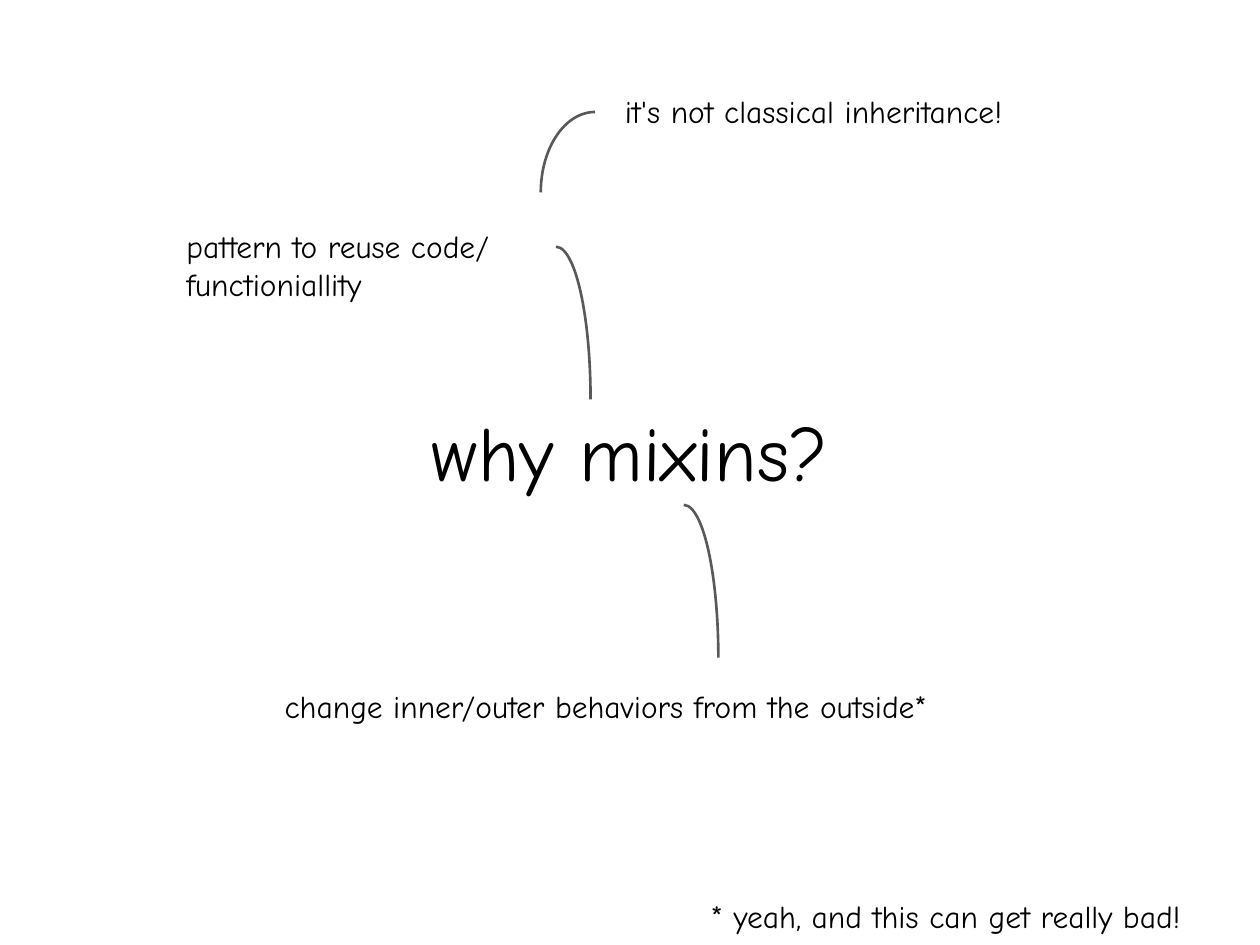
from dataclasses import dataclass

from pptx import Presentation
from pptx.dml.color import RGBColor
from pptx.enum.shapes import MSO_SHAPE as Preset
from pptx.enum.text import MSO_ANCHOR as Anchor, MSO_AUTO_SIZE as AutoSize, PP_ALIGN as Align
from pptx.slide import Slide
from pptx.text.text import TextFrame
from pptx.util import Pt

FONT = "Comic Neue"
INK = "000000"
ARC_GREY = "595959"
TITLE_ONLY = 5


@dataclass
class Frame:
    left: float
    top: float
    width: float
    height: float

    def lengths(self) -> tuple[Pt, Pt, Pt, Pt]:
        return Pt(self.left), Pt(self.top), Pt(self.width), Pt(self.height)


@dataclass
class Note:
    text: str
    frame: Frame


@dataclass
class Arc:
    frame: Frame
    flipped: bool = False


TITLE_FRAME = Frame(54, 199.5, 612, 116)
NOTES = [
    Note("pattern to reuse code/\nfunctioniallity", Frame(99.4, 126, 218.9, 51)),
    Note("it's not classical inheritance!", Frame(350, 49, 256.3, 29)),
    Note("change inner/outer behaviors from the outside*", Frame(155.5, 389, 419, 29)),
    Note("* yeah, and this can get really bad!", Frame(399, 509, 318.2, 29)),
]
ARCS = [
    Arc(Frame(298, 141, 39.5, 174.5)),
    Arc(Frame(309, 64, 62, 92), flipped=True),
    Arc(Frame(371, 288.5, 39.5, 174.5)),
]


def color(value: str) -> RGBColor:
    return RGBColor.from_string(value)


def format_text(text_frame: TextFrame, size: float, align: Align) -> None:
    for paragraph in text_frame.paragraphs:
        paragraph.alignment = align
        for span in paragraph.runs:
            span.font.name = FONT
            span.font.size = Pt(size)
            span.font.color.rgb = color(INK)


def place_title(page: Slide, text: str) -> None:
    title = page.shapes.title
    title.left, title.top, title.width, title.height = TITLE_FRAME.lengths()
    title.text_frame.text = text
    title.text_frame.vertical_anchor = Anchor.MIDDLE
    format_text(title.text_frame, 44, Align.CENTER)


def add_note(page: Slide, note: Note) -> None:
    box = page.shapes.add_textbox(*note.frame.lengths())
    box.text_frame.text = note.text
    box.text_frame.word_wrap = False
    box.text_frame.auto_size = AutoSize.SHAPE_TO_FIT_TEXT
    format_text(box.text_frame, 18, Align.LEFT)


def add_arc(page: Slide, arc: Arc) -> None:
    shape = page.shapes.add_shape(Preset.ARC, *arc.frame.lengths())
    shape.shadow.inherit = False
    shape.fill.background()
    shape.line.color.rgb = color(ARC_GREY)
    shape.line.width = Pt(1.5)
    if arc.flipped:
        shape.element.spPr.xfrm.set("flipH", "1")


def main() -> None:
    deck = Presentation()
    deck.slide_width, deck.slide_height = Pt(720), Pt(540)
    page = deck.slides.add_slide(deck.slide_layouts[TITLE_ONLY])
    place_title(page, "why mixins?")
    for note in NOTES:
        add_note(page, note)
    for arc in ARCS:
        add_arc(page, arc)
    deck.save("out.pptx")


if __name__ == "__main__":
    main()
